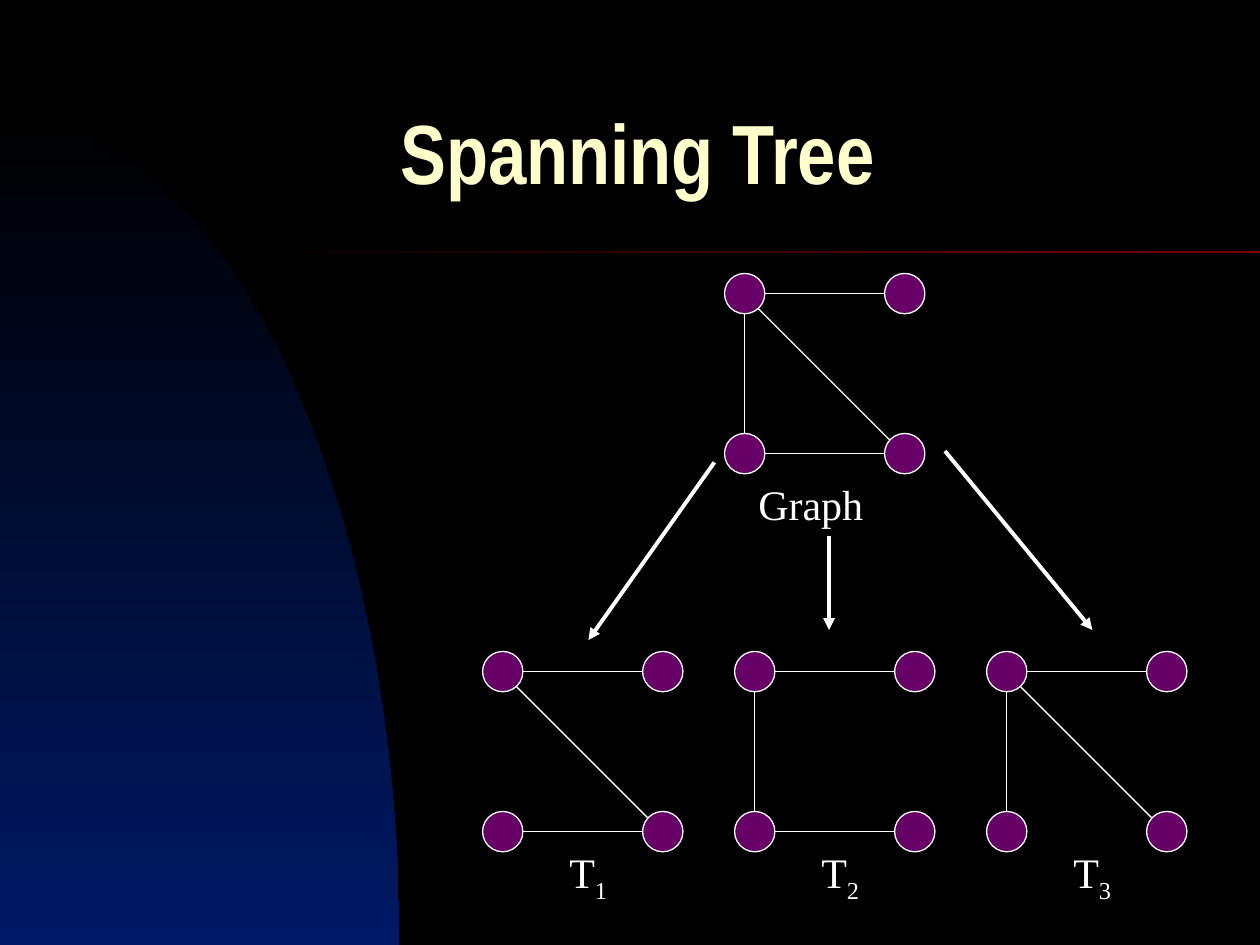
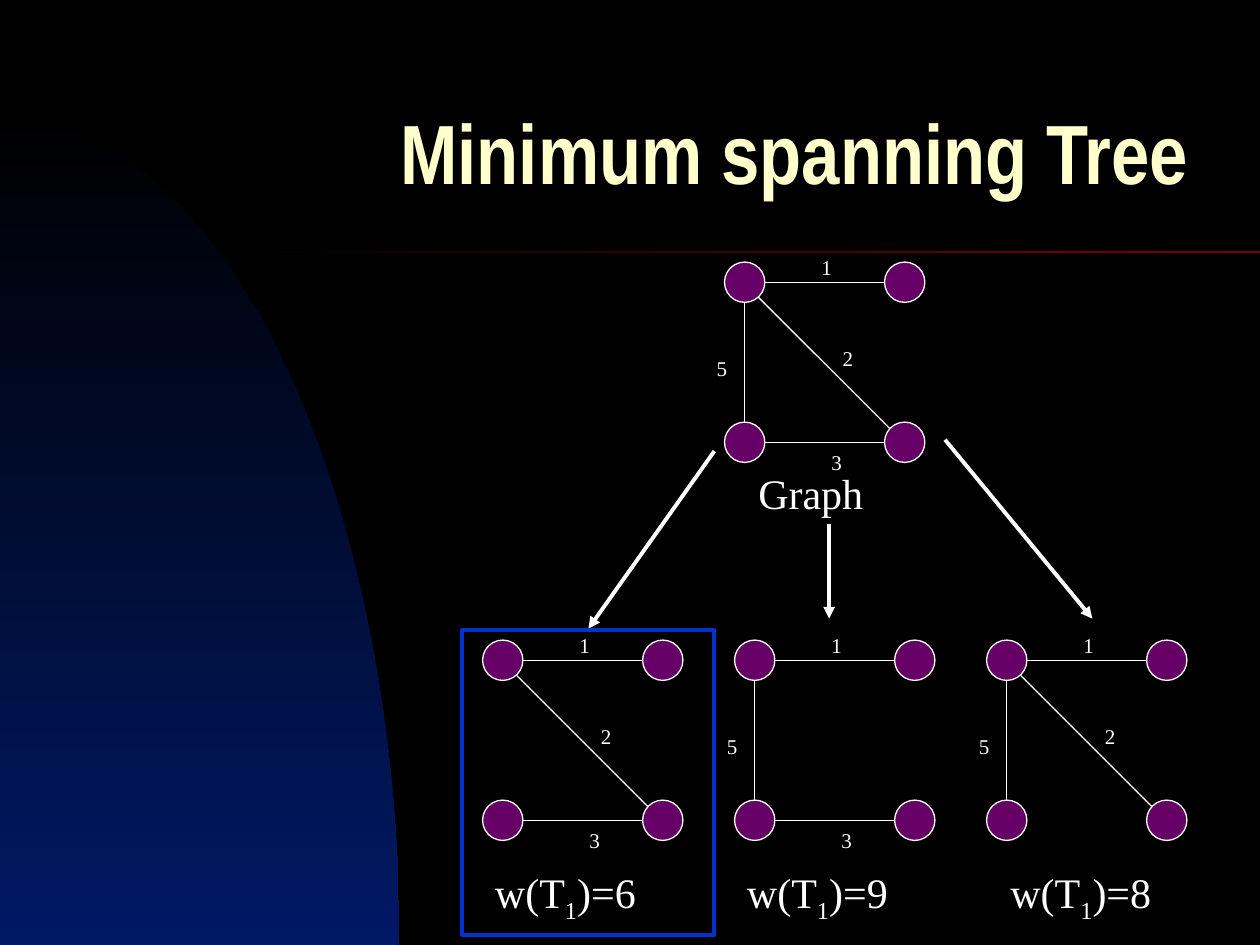
from dataclasses import dataclass
from math import cos, pi, sin

from lxml.etree import SubElement
from pptx import Presentation
from pptx.dml.color import RGBColor
from pptx.enum.shapes import MSO_CONNECTOR, MSO_SHAPE
from pptx.enum.text import MSO_ANCHOR
from pptx.oxml.ns import qn
from pptx.util import Inches, Pt


@dataclass(frozen=True)
class Theme:
    """Colours, fonts, type sizes and line widths of the deck."""
    back: str = "000000"
    glow: str = "001966"
    rule: str = "800000"
    title: str = "FFFFCC"
    ink: str = "FFFFFF"
    node: str = "660066"
    highlight: str = "0033CC"
    title_font: str = "Arial Narrow"
    body_font: str = "Times New Roman"
    title_size: int = 48
    caption_size: int = 24
    weight_size: int = 12
    thin: float = 0.75
    thick: float = 2.25


T = Theme()
WIDTH, HEIGHT = 10, 7.5
GRAPH_X, TREES_X, TREE_PITCH, TREES_DROP = 5.75, 3.83, 2, 3
NODE, STEP = 0.32, 1.27
NODES = [(x, y) for y in (0, STEP) for x in (0, STEP)]

# Edge weight: start, end and label position, from the graph's top left corner
EDGES = {
    1: ((0.32, 0.16), (1.27, 0.16), (0.67, -0.11)),
    5: ((0.16, 0.32), (0.16, 1.27), (-0.16, 0.69)),
    3: ((0.32, 0.16 + STEP), (1.27, 0.16 + STEP), (0.75, 1.44)),
    2: ((0.24, 0.25), (1.35, 1.36), (0.84, 0.61)),
}
TREES = [(1, 3, 2), (1, 5, 3), (1, 5, 2)]
ARROWS = [((-0.08, 1.5), (-1.08, 2.91)),
          ((0.83, 2.08), (0.83, 2.83)),
          ((1.75, 1.41), (2.92, 2.83))]


def rgb(color):
    """Turn a hex string into a colour."""
    return RGBColor.from_string(color)


def box(*lengths):
    """Convert several lengths to inches."""
    return [Inches(v) for v in lengths]


def paint_gradient(sp, start, end, angle):
    """Give an unlined shape a two-colour linear gradient."""
    sp.shadow.inherit = False
    sp.line.fill.background()
    sp.fill.gradient()
    sp.fill.gradient_angle = angle
    for stop, color in zip(sp.fill.gradient_stops, (start, end)):
        stop.color.rgb = rgb(color)


def add_shape(s, kind, at, line, width, fill=None):
    """Draw an outlined preset shape, filled if a colour is given."""
    sp = s.shapes.add_shape(kind, *box(*at))
    sp.shadow.inherit = False
    sp.line.color.rgb = rgb(line)
    sp.line.width = Pt(width)
    if fill:
        sp.fill.solid()
        sp.fill.fore_color.rgb = rgb(fill)
    else:
        sp.fill.background()
    return sp


def add_line(s, x, y, start, end, width, arrow=False):
    """Draw a line between two points relative to x, y."""
    c = s.shapes.add_connector(
        MSO_CONNECTOR.STRAIGHT,
        *box(x + start[0], y + start[1], x + end[0], y + end[1]))
    c.line.color.rgb = rgb(T.ink)
    c.line.width = Pt(width)
    if arrow:
        ln = c.line._get_or_add_ln()
        SubElement(ln, qn("a:tailEnd")).set("type", "triangle")
    SubElement(c._element.spPr, qn("a:effectLst"))


def add_text(s, at, runs, size, color=T.ink, font=T.body_font, bold=False):
    """Write one paragraph; every second run is a subscript."""
    tf = s.shapes.add_textbox(*box(*at)).text_frame
    tf.word_wrap = True
    p = tf.paragraphs[0]
    for i, text in enumerate(runs):
        r = p.add_run()
        r.text = text
        r.font.size = Pt(size)
        r.font.name = font
        r.font.bold = bold
        r.font.color.rgb = rgb(color)
        if i % 2:
            r._r.get_or_add_rPr().set("baseline", "-25000")
    return tf


def add_base(prs, title):
    """Add a slide with the background, glow, rule and title."""
    s = prs.slides.add_slide(prs.slide_layouts[6])
    s.background.fill.solid()
    s.background.fill.fore_color.rgb = rgb(T.back)
    rx, ry, steps = 3.17, 6.58, 60
    arc = [box(rx * sin(a), HEIGHT - ry * cos(a))
           for a in (i * pi / 2 / steps for i in range(steps + 1))]
    outline = s.shapes.build_freeform(*arc[0])
    outline.add_line_segments(arc[1:] + [box(0, HEIGHT)], close=True)
    paint_gradient(outline.convert_to_shape(), T.back, T.glow, 270)
    rule = s.shapes.add_shape(MSO_SHAPE.RECTANGLE,
                              *box(1.8, 1.99, WIDTH - 1.8, 0.02))
    paint_gradient(rule, T.rule, T.back, 180)
    tf = add_text(s, (3.08, 0.67, 6.67, 1.25), [title], T.title_size,
                  T.title, T.title_font, True)
    tf.vertical_anchor = MSO_ANCHOR.MIDDLE
    tf.paragraphs[0].line_spacing = 0.7
    return s


def add_graph(s, x, y, edges, weighted):
    """Draw four nodes and the chosen edges from the corner x, y."""
    for weight in edges:
        start, end, (dx, dy) = EDGES[weight]
        add_line(s, x, y, start, end, T.thin)
        if weighted:
            add_text(s, (x + dx, y + dy, 0.33, 0.3), [str(weight)],
                     T.weight_size)
    for dx, dy in NODES:
        add_shape(s, MSO_SHAPE.OVAL, (x + dx, y + dy, NODE, NODE),
                  T.ink, T.thin, T.node)


def add_tree_slide(prs, title, top, captions, weighted=False):
    """Show a graph with arrows to its three captioned spanning trees."""
    s = add_base(prs, title)
    add_graph(s, GRAPH_X, top, EDGES, weighted)
    add_text(s, (GRAPH_X + 0.17, top + 1.58, 1.33, 0.5), ["Graph"],
             T.caption_size)
    for start, end in ARROWS:
        add_line(s, GRAPH_X, top, start, end, T.thick, arrow=True)
    y = top + TREES_DROP
    for i, (edges, (dx, dy, w, runs)) in enumerate(zip(TREES, captions)):
        x = TREES_X + i * TREE_PITCH
        add_graph(s, x, y, edges, weighted)
        add_text(s, (x + dx, y + dy, w, 0.56), runs, T.caption_size)
    return s


def main():
    """Build and save the deck."""
    prs = Presentation()
    prs.slide_width, prs.slide_height = box(WIDTH, HEIGHT)
    add_tree_slide(prs, "Spanning Tree", 2.17,
                   [(0.59, 1.5, 0.67, ["T", n]) for n in "123"])
    totals = zip((0, 0, 0.09), (6, 9, 8))
    s = add_tree_slide(prs, "Minimum spanning Tree", 2.08,
                       [(dx, 1.75, 1.58, ["w(T", "1", f")={total}"])
                        for dx, total in totals], weighted=True)
    add_shape(s, MSO_SHAPE.RECTANGLE, (3.67, 5, 2, 2.42),
              T.highlight, T.thick)
    prs.save("out.pptx")


if __name__ == "__main__":
    main()
